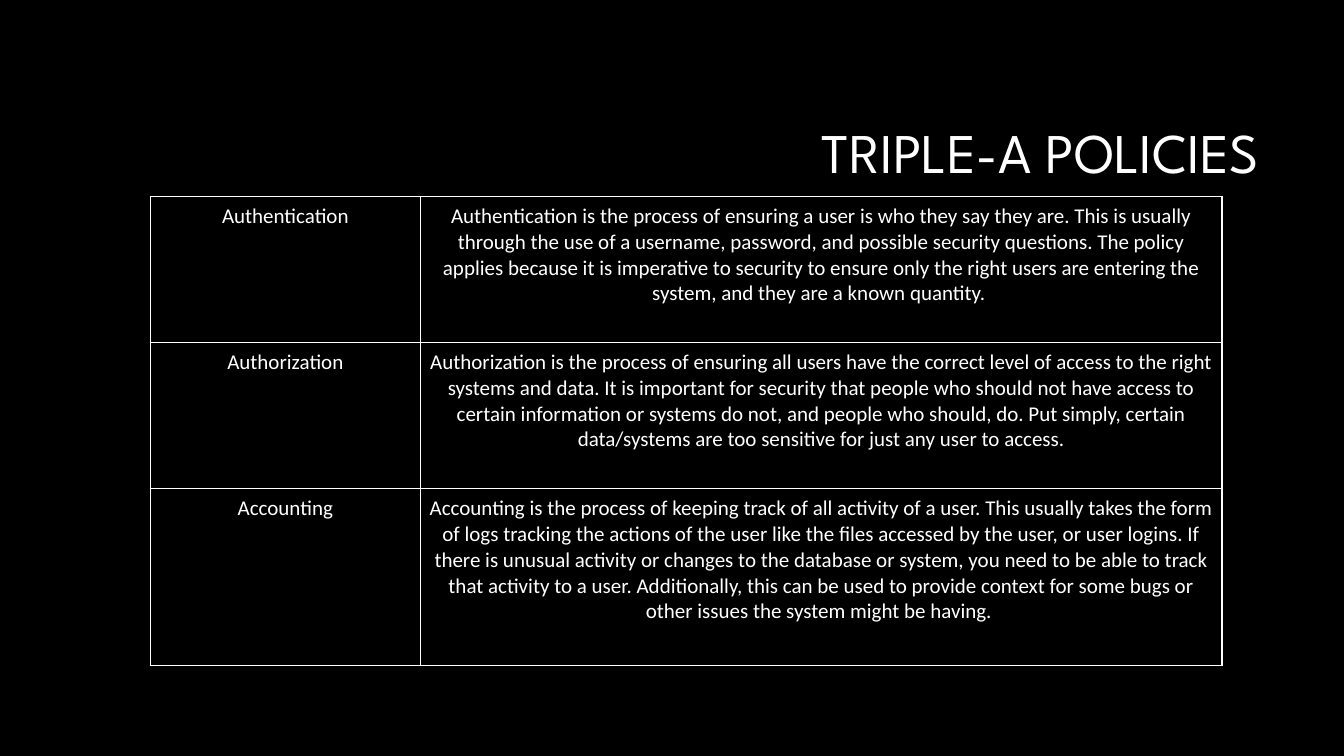
import pptx
import pptx.dml.color
import pptx.enum.text
import pptx.oxml.ns
import pptx.util
from lxml import etree
from pptx.util import Inches

BLACK = pptx.dml.color.RGBColor(0x00, 0x00, 0x00)
WHITE = pptx.dml.color.RGBColor(0xFF, 0xFF, 0xFF)
BORDER_POINTS = 1
COLUMN_WIDTHS = (2.68, 7.95)
ROW_HEIGHTS = (1.45, 1.45, 1.75)
POLICIES = (
    ("Authentication",
     "Authentication is the process of ensuring a user is who they say they are. "
     "This is usually through the use of a username, password, and possible security "
     "questions. The policy applies because it is imperative to security to ensure only "
     "the right users are entering the system, and they are a known quantity. "),
    ("Authorization",
     "Authorization is the process of ensuring all users have the correct level of access "
     "to the right systems and data. It is important for security that people who should "
     "not have access to certain information or systems do not, and people who should, do. "
     "Put simply, certain data/systems are too sensitive for just any user to access."),
    ("Accounting",
     "Accounting is the process of keeping track of all activity of a user. This usually "
     "takes the form of logs tracking the actions of the user like the files accessed by "
     "the user, or user logins. If there is unusual activity or changes to the database or "
     "system, you need to be able to track that activity to a user. Additionally, this can "
     "be used to provide context for some bugs or other issues the system might be having. "),
)


def write_text(paragraph, text, font_name, size, alignment):
    """Add one white run to a paragraph."""
    paragraph.alignment = alignment
    run = paragraph.add_run()
    run.text = text
    run.font.name = font_name
    run.font.size = pptx.util.Pt(size)
    run.font.color.rgb = WHITE


def add_borders(cell):
    """Draw a solid white line on each side of a table cell."""
    qualified = pptx.oxml.ns.qn
    properties = cell._tc.get_or_add_tcPr()
    for side in ("a:lnL", "a:lnR", "a:lnT", "a:lnB"):
        line = etree.SubElement(properties, qualified(side),
                                w=str(pptx.util.Pt(BORDER_POINTS)))
        fill = etree.SubElement(line, qualified("a:solidFill"))
        etree.SubElement(fill, qualified("a:srgbClr"), val=str(WHITE))


def place_title(slide, left, top, width, height):
    """Move and format the title placeholder."""
    title = slide.shapes.title
    title.left, title.top, title.width, title.height = left, top, width, height
    frame = title.text_frame
    frame.word_wrap = True
    frame.auto_size = pptx.enum.text.MSO_AUTO_SIZE.NONE
    frame.vertical_anchor = pptx.enum.text.MSO_ANCHOR.MIDDLE
    paragraph = frame.paragraphs[0]
    paragraph.line_spacing = 0.9
    write_text(paragraph, "TRIPLE-A POLICIES", "League Spartan", 40,
               pptx.enum.text.PP_ALIGN.RIGHT)


def fill_cell(cell, text):
    """Format one table cell and write its text."""
    cell.margin_left = cell.margin_right = Inches(0.07)
    cell.margin_top = cell.margin_bottom = Inches(0.07)
    add_borders(cell)
    cell.fill.solid()
    cell.fill.fore_color.rgb = BLACK
    write_text(cell.text_frame.paragraphs[0], text, "Calibri", 15,
               pptx.enum.text.PP_ALIGN.CENTER)


def add_policy_table(slide, left, top, width, height):
    """Add the table of policies and their descriptions."""
    table = slide.shapes.add_table(len(POLICIES), len(COLUMN_WIDTHS),
                                   left, top, width, height).table
    table.first_row = False
    table.horz_banding = False
    for column, column_width in zip(table.columns, COLUMN_WIDTHS):
        column.width = Inches(column_width)
    for row, row_height, policy in zip(table.rows, ROW_HEIGHTS, POLICIES):
        row.height = Inches(row_height)
        for cell, text in zip(row.cells, policy):
            fill_cell(cell, text)


def main():
    """Build the slide and save the presentation."""
    presentation = pptx.Presentation()
    presentation.slide_width = Inches(13.33)
    presentation.slide_height = Inches(7.5)
    slide = presentation.slides.add_slide(presentation.slide_layouts[5])
    slide.background.fill.solid()
    slide.background.fill.fore_color.rgb = BLACK
    place_title(slide, Inches(3.17), Inches(0.84), Inches(9.42), Inches(1.41))
    add_policy_table(slide, Inches(1.49), Inches(1.95),
                     Inches(sum(COLUMN_WIDTHS)), Inches(sum(ROW_HEIGHTS)))
    presentation.save("out.pptx")


if __name__ == "__main__":
    main()
